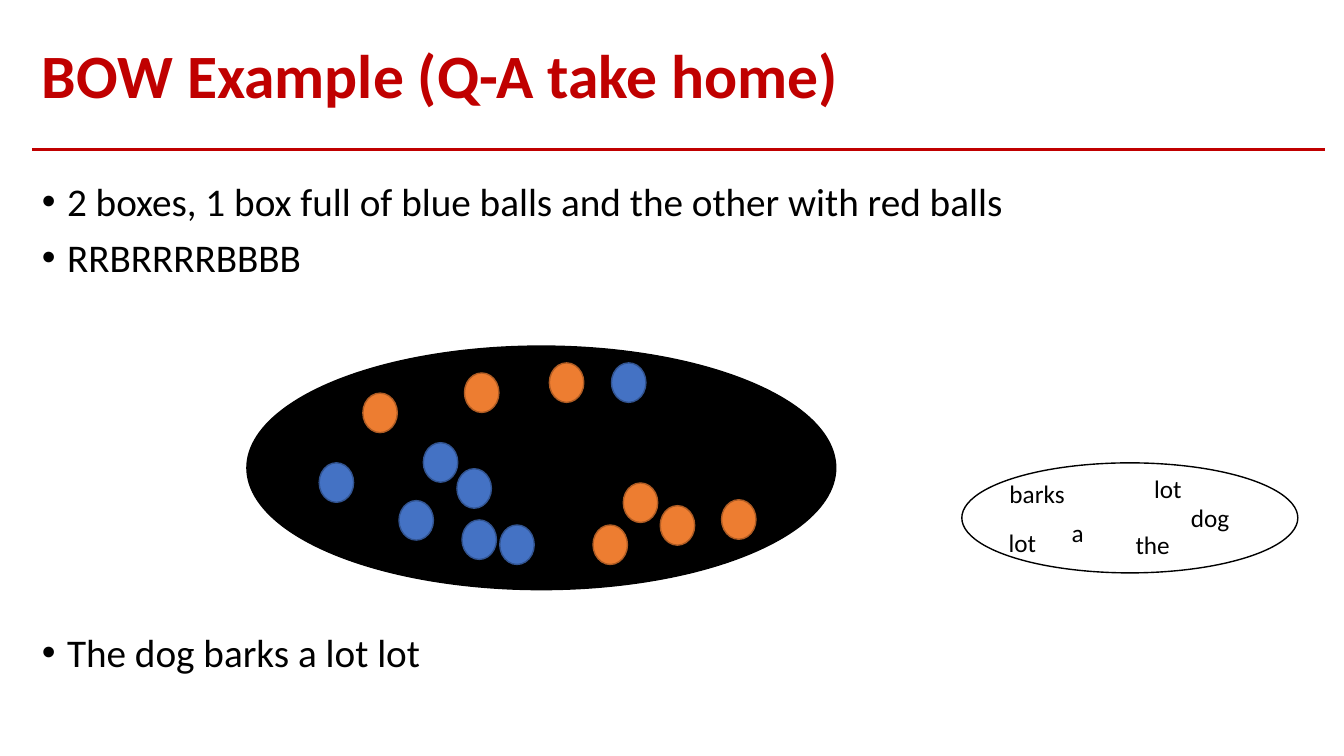
from lxml.etree import SubElement
from pptx import Presentation
from pptx.dml.color import RGBColor
from pptx.enum.shapes import MSO_CONNECTOR, MSO_SHAPE
from pptx.enum.text import MSO_ANCHOR
from pptx.oxml.ns import qn
from pptx.util import Inches, Pt

COLORS = {
    "red": "C00000",
    "black": "000000",
    "white": "FFFFFF",
    "orange": "ED7D31",
    "orange edge": "AF5C24",
    "blue": "4472C4",
    "blue edge": "325491",
}
COLUMNS, ROWS = 160, 90
BALL_SIZE = (4.1, 4.7)
BALLS = {
    "orange": [(43.2, 46.8), (70.6, 62.5), (55.3, 44.4), (65.4, 43.2),
               (74.2, 57.5), (85.9, 59.5), (78.6, 60.2)],
    "blue": [(72.8, 43.2), (38, 55.1), (50.4, 52.7), (47.5, 59.6),
             (55, 61.9), (59.5, 62.5), (54.4, 55.8)],
}
WORDS = [
    ("the", 134, 62.4, 7.7), ("lot", 136.2, 55.7, 7.7), ("lot", 118.9, 62.2, 7.7),
    ("a", 126.4, 61, 7.7), ("dog", 140.6, 59.2, 7.7), ("barks", 119, 56.3, 17.2),
]


class SlideBuilder:
    """Draws styled elements on one slide, placed by grid columns and rows."""

    def __init__(self, presentation, font_name="Calibri"):
        self.slide = presentation.slides.add_slide(presentation.slide_layouts[6])
        self.column = presentation.slide_width / COLUMNS
        self.row = presentation.slide_height / ROWS
        self.font_name = font_name

    def place(self, left, top, width, height):
        return (round(left * self.column), round(top * self.row),
                round(width * self.column), round(height * self.row))

    def color(self, name):
        return RGBColor.from_string(COLORS[name])

    def rule(self, left, top, right, color, weight):
        start_x, start_y, end_x, end_y = self.place(left, top, right, top)
        connector = self.slide.shapes.add_connector(
            MSO_CONNECTOR.STRAIGHT, start_x, start_y, end_x, end_y)
        connector.line.color.rgb = self.color(color)
        connector.line.width = Pt(weight)
        SubElement(connector._element.spPr, qn("a:effectLst"))

    def ellipse(self, left, top, width, height, fill, edge):
        shape = self.slide.shapes.add_shape(
            MSO_SHAPE.OVAL, *self.place(left, top, width, height))
        shape.shadow.inherit = False
        shape.fill.solid()
        shape.fill.fore_color.rgb = self.color(fill)
        shape.line.color.rgb = self.color(edge)
        shape.line.width = Pt(1)

    def text(self, lines, left, top, width, height, size, color="black",
             bold=False, bullet=False, spacing=1.0, anchor=MSO_ANCHOR.TOP):
        box = self.slide.shapes.add_textbox(*self.place(left, top, width, height))
        frame = box.text_frame
        frame.word_wrap = True
        frame.vertical_anchor = anchor
        for index, line in enumerate(lines):
            paragraph = frame.add_paragraph() if index else frame.paragraphs[0]
            paragraph.text = line
            paragraph.line_spacing = spacing
            if index:
                paragraph.space_before = Pt(10)
            if bullet:
                self.add_bullet(paragraph)
            paragraph.font.name = self.font_name
            paragraph.font.size = Pt(size)
            paragraph.font.bold = bold
            paragraph.font.color.rgb = self.color(color)

    def add_bullet(self, paragraph):
        properties = paragraph._p.get_or_add_pPr()
        properties.set("marL", str(Inches(0.25)))
        properties.set("indent", str(-Inches(0.25)))
        SubElement(properties, qn("a:buFont")).set("typeface", "Arial")
        SubElement(properties, qn("a:buChar")).set("char", "•")


def main():
    presentation = Presentation()
    presentation.slide_width = Inches(13.33)
    presentation.slide_height = Inches(7.5)
    builder = SlideBuilder(presentation)

    builder.rule(3.8, 17.8, 157.7, "red", 2.5)
    builder.text(["BOW Example (Q-A take home)"], 3.8, 3.4, 153.8, 12, 44,
                 color="red", bold=True, spacing=0.9, anchor=MSO_ANCHOR.MIDDLE)
    builder.text(["2 boxes, 1 box full of blue balls and the other with red balls",
                  "RRBRRRRBBBB"], 3.8, 21.1, 153.8, 13, 28, bullet=True, spacing=0.9)
    builder.text(["The dog barks a lot lot"], 3.8, 74.8, 153.8, 6.2, 28,
                 bullet=True, spacing=0.9)

    builder.ellipse(29.4, 41.2, 70.1, 29, "black", "black")
    for color, positions in BALLS.items():
        for left, top in positions:
            builder.ellipse(left, top, *BALL_SIZE, color, f"{color} edge")

    builder.ellipse(114.5, 55.1, 40, 13.1, "white", "black")
    for word, left, top, width in WORDS:
        builder.text([word], left, top, width, 4.8, 18)

    presentation.save("out.pptx")


if __name__ == "__main__":
    main()
